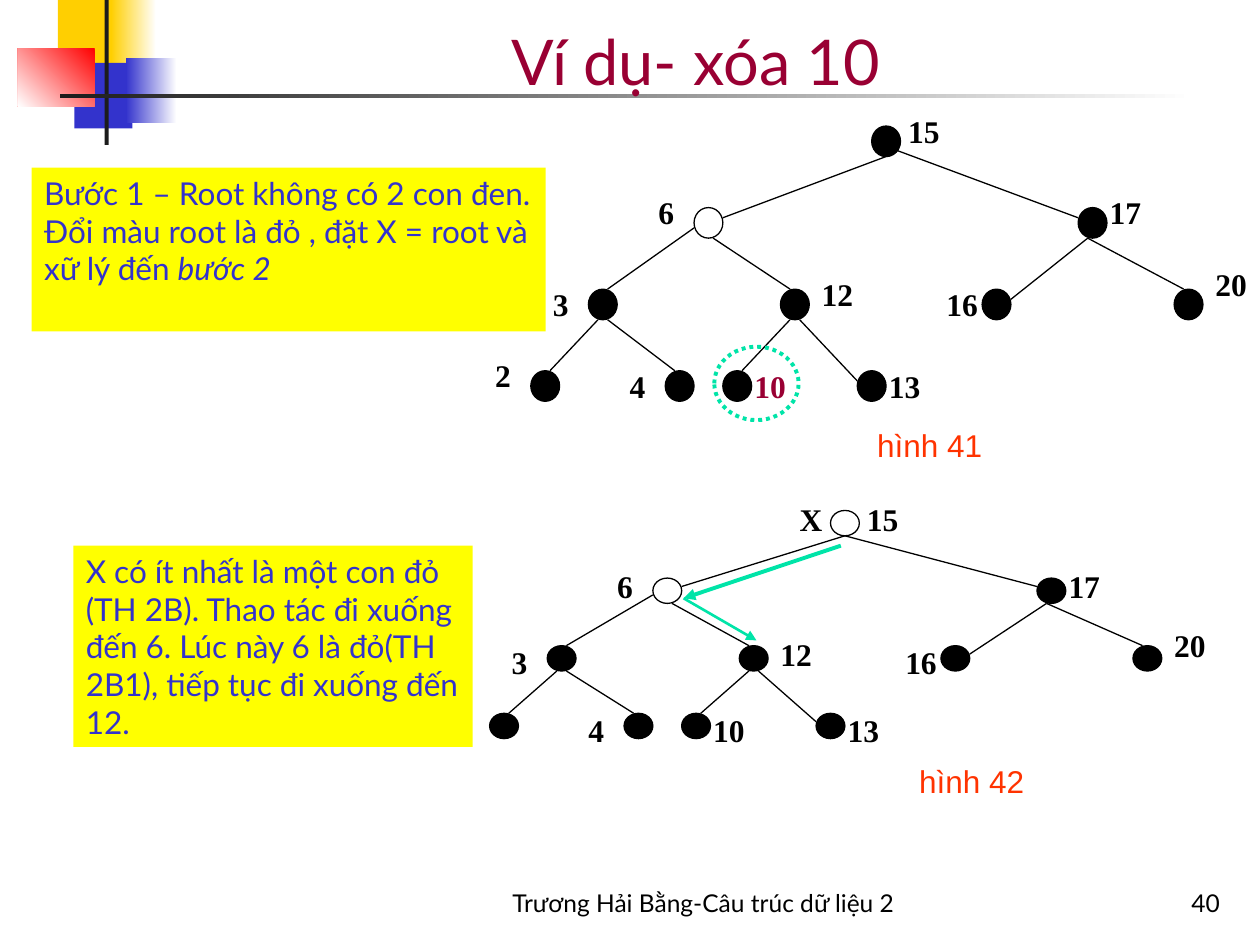
from lxml.etree import SubElement
from pptx import Presentation
from pptx.dml.color import RGBColor
from pptx.enum.dml import MSO_LINE
from pptx.enum.shapes import MSO_CONNECTOR, MSO_SHAPE
from pptx.enum.text import MSO_ANCHOR, PP_ALIGN
from pptx.oxml.ns import qn
from pptx.util import Cm, Pt

COLORS = {
    "black": "000000", "white": "FFFFFF", "gold": "FFCF01", "blue": "3333CC",
    "red": "FF0000", "dark": "1C1C1C", "maroon": "990033", "yellow": "FFFF00",
    "mint": "00E4A8", "orange": "FF3300",
}
COLUMNS, ROWS, NODE = 70, 27, 3
NODES = {
    "15": (35.5, 0), "6": (17, 8), "17": (57, 8), "3": (6, 16), "12": (26, 16),
    "16": (47, 16), "20": (67, 16), "2": (0, 24), "4": (14, 24),
    "10": (20, 24), "13": (34, 24),
}
EDGES = [
    ((37, 3), (20, 9)), ((17, 10), (8, 16)), ((19, 11), (27, 16)),
    ((58, 11), (50, 17)), ((58, 11), (68, 16)), ((7, 19), (2, 24)),
    ((8, 19), (15, 24)), ((27, 19), (22, 24)), ((28, 19), (34, 25)),
]
LABELS = {
    "15": (38, -2), "6": (12, 6), "17": (59, 6), "3": (1, 15), "12": (29, 14),
    "16": (42, 15), "20": (70, 13), "2": (-5, 22), "4": (9, 23),
    "10": (22, 23), "13": (36, 23), "X": (31, -2),
}


def color(name):
    """Return the named colour."""
    return RGBColor.from_string(COLORS[name])


def add_block(shapes, kind, box, fill=None, outline=None, width=0.75):
    """Add a preset shape with a plain fill and outline."""
    block = shapes.add_shape(kind, *map(Cm, box))
    block.shadow.inherit = False
    if fill:
        block.fill.solid()
        block.fill.fore_color.rgb = color(fill)
    else:
        block.fill.background()
    if outline:
        block.line.color.rgb = color(outline)
        block.line.width = Pt(width)
    else:
        block.line.fill.background()
    return block


def add_line(shapes, start, end, ink="black", width=0.75, arrow=False):
    """Add a straight line, with an arrowhead at its end if asked."""
    line = shapes.add_connector(MSO_CONNECTOR.STRAIGHT, *map(Cm, (*start, *end)))
    line.line.color.rgb = color(ink)
    line.line.width = Pt(width)
    properties = line._element.spPr
    if arrow:
        SubElement(properties.find(qn("a:ln")), qn("a:tailEnd"), type="triangle")
    SubElement(properties, qn("a:effectLst"))


def write(shape, paragraphs, font, size, ink, align=PP_ALIGN.LEFT,
          anchor=MSO_ANCHOR.TOP, bold=False):
    """Fill a shape with evenly formatted paragraphs."""
    frame = shape.text_frame
    frame.word_wrap = True
    frame.vertical_anchor = anchor
    frame.text = "\n".join(paragraphs)
    for paragraph in frame.paragraphs:
        paragraph.alignment = align
        for run in paragraph.runs:
            run.font.name = font
            run.font.size = Pt(size)
            run.font.bold = bold
            run.font.color.rgb = color(ink)
    return frame


def add_text(shapes, box, text, font, size, ink, **layout):
    """Add a text box with one paragraph."""
    write(shapes.add_textbox(*map(Cm, box)), [text], font, size, ink, **layout)


def add_ornament(slide, left, top):
    """Place the coloured squares and the crossing bars."""
    parts = [
        ((0.81, 0, 1.22, 1.32), "gold", None, 0),
        ((1.88, 0, 0.91, 1.32), "white", "gold", 180),
        ((1.14, 1.27, 1.17, 1.32), "blue", None, 0),
        ((2.18, 1.17, 1.02, 1.32), "white", "blue", 180),
        ((0, 0.97, 1.55, 1.17), "red", "white", 225),
        ((1.75, 0, 0.08, 2.92), "dark", None, 0),
        ((0.86, 1.9, 22.86, 0.08), "white", "dark", 180),
    ]
    for (x, y, width, height), first, last, angle in parts:
        box = (left + x, top + y, width, height)
        block = add_block(slide.shapes, MSO_SHAPE.RECTANGLE, box, first)
        if last:
            block.fill.gradient()
            block.fill.gradient_angle = angle
            for stop, name, position in zip(block.fill.gradient_stops, (first, last), (0, 1)):
                stop.color.rgb = color(name)
                stop.position = position


def add_tree(slide, left, top, width, height, hollow, hidden, root_exit, marked=None):
    """Draw the search tree on a grid fitted to the box."""
    shapes = slide.shapes.add_group_shape().shapes
    unit_x, unit_y = width / COLUMNS, height / ROWS

    def place(column, row):
        """Turn a grid point into slide centimetres."""
        return left + column * unit_x, top + row * unit_y

    for key, cell in NODES.items():
        box = (*place(*cell), NODE * unit_x, NODE * unit_y)
        add_block(shapes, MSO_SHAPE.OVAL, box, None if key in hollow else "black", "black")
    for start, end in EDGES + [((37, root_exit), (57, 9))]:
        add_line(shapes, place(*start), place(*end))
    for key, cell in LABELS.items():
        if key not in hidden:
            ink = "maroon" if key == marked else "black"
            add_text(shapes, (*place(*cell), 1.17, 1.02), key,
                     "Times New Roman", 18, ink, bold=True)


def add_note(slide, box, paragraphs):
    """Add a yellow explanation panel and return its text frame."""
    panel = add_block(slide.shapes, MSO_SHAPE.RECTANGLE, box, "yellow")
    return write(panel, paragraphs, "Lato", 18, "blue")


def add_caption(slide, left, top, text):
    """Add the caption of a figure."""
    add_text(slide.shapes, (left, top, 3.6, 1.02), text, "Arial", 18, "orange",
             align=PP_ALIGN.CENTER)


def add_first_step(slide, left, top):
    """Place the first tree with its note, ring and caption."""
    add_tree(slide, left + 10.06, top, 13.55, 5.55, {"6"}, {"X"}, 2, "10")
    note = add_note(slide, (left, top + 0.84, 10.36, 3.3), [
        "Bước 1 – Root không có 2 con đen.",
        "Đổi màu root là đỏ , đặt X = root và xữ lý đến ",
    ])
    base = note.paragraphs[1].runs[0].font
    step = note.paragraphs[1].add_run()
    step.text = "bước 2"
    step.font.name, step.font.size = base.name, base.size
    step.font.italic = True
    step.font.color.rgb = color("blue")
    ring = add_block(slide.shapes, MSO_SHAPE.OVAL, (left + 13.76, top + 4.45, 1.7, 1.48),
                     None, "mint", 2.25)
    ring.line.dash_style = MSO_LINE.ROUND_DOT
    add_caption(slide, left + 16.3, top + 5.93, "hình 41")


def add_second_step(slide, left, top):
    """Place the second tree with its note, path arrows and caption."""
    add_tree(slide, left + 8.39, top, 13.55, 4.6, {"15", "6"}, {"2"}, 3)
    add_note(slide, (left, top + 0.71, 8.05, 4.06), [
        "X có ít nhất là một con đỏ (TH 2B). Thao tác đi xuống đến 6. "
        "Lúc này 6 là đỏ(TH 2B1), tiếp tục đi xuống đến 12.",
    ])
    stops = [(left + x, top + y) for x, y in ((15.47, 0.71), (12.3, 1.77), (13.77, 2.62))]
    for start, end, width in zip(stops, stops[1:], (2.25, 1.5)):
        add_line(slide.shapes, start, end, "mint", width, arrow=True)
    add_caption(slide, left + 16.31, top + 4.95, "hình 42")


def add_footer(slide, left, top):
    """Place the author line and the slide number."""
    add_text(slide.shapes, (left, top, 10.58, 1.27), "Trương Hải Bằng-Câu trúc dữ liệu 2",
             "Lato", 14, "black", align=PP_ALIGN.CENTER, anchor=MSO_ANCHOR.BOTTOM)
    add_text(slide.shapes, (left + 10.67, top, 5.28, 1.27), "40",
             "Lato", 14, "black", align=PP_ALIGN.RIGHT, anchor=MSO_ANCHOR.BOTTOM)


def main():
    """Build the slide and save it."""
    deck = Presentation()
    deck.slide_width, deck.slide_height = Cm(25.4), Cm(19.05)
    slide = deck.slides.add_slide(deck.slide_layouts[6])
    add_ornament(slide, 0.36, 0)
    add_text(slide.shapes, (3.2, 0.58, 21.64, 1.52), "Ví dụ- xóa 10", "Lato", 36, "maroon",
             align=PP_ALIGN.CENTER, anchor=MSO_ANCHOR.BOTTOM)
    add_first_step(slide, 0.64, 2.54)
    add_second_step(slide, 1.48, 10.29)
    add_footer(slide, 8.89, 17.35)
    deck.save("out.pptx")


if __name__ == "__main__":
    main()
